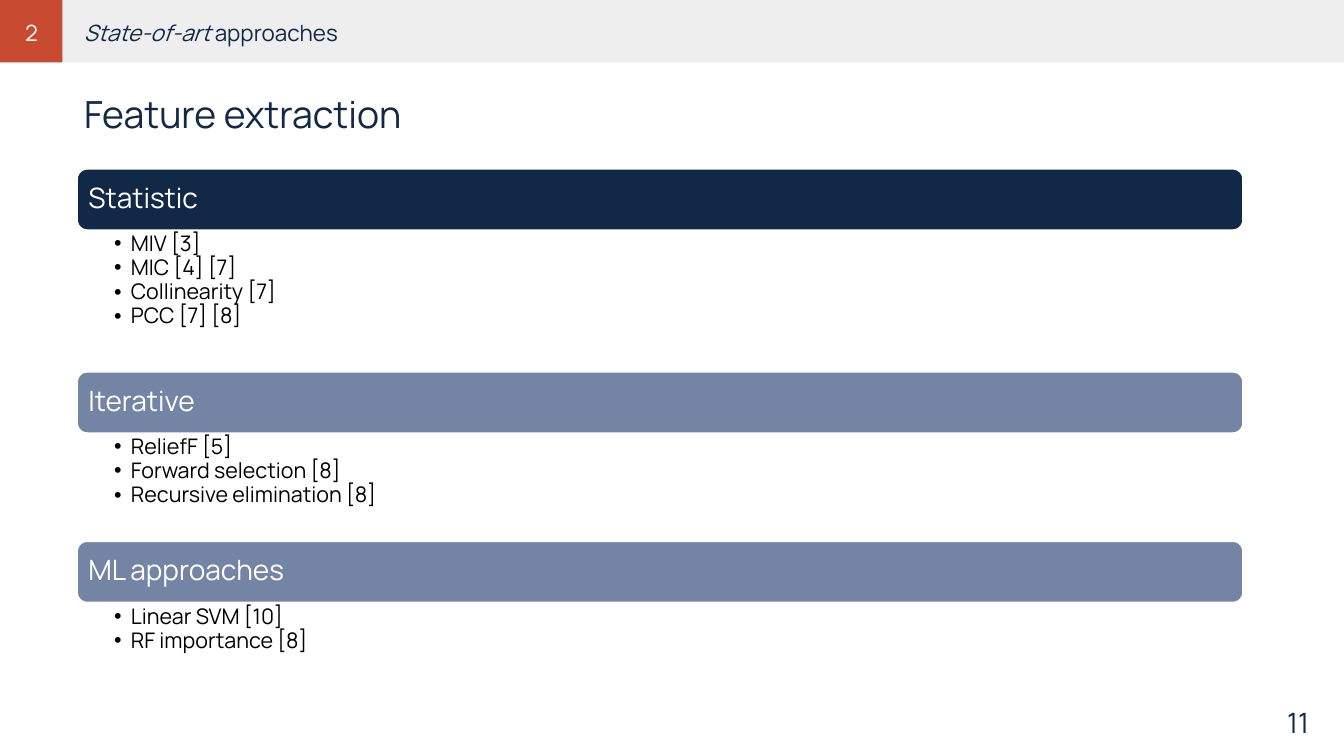
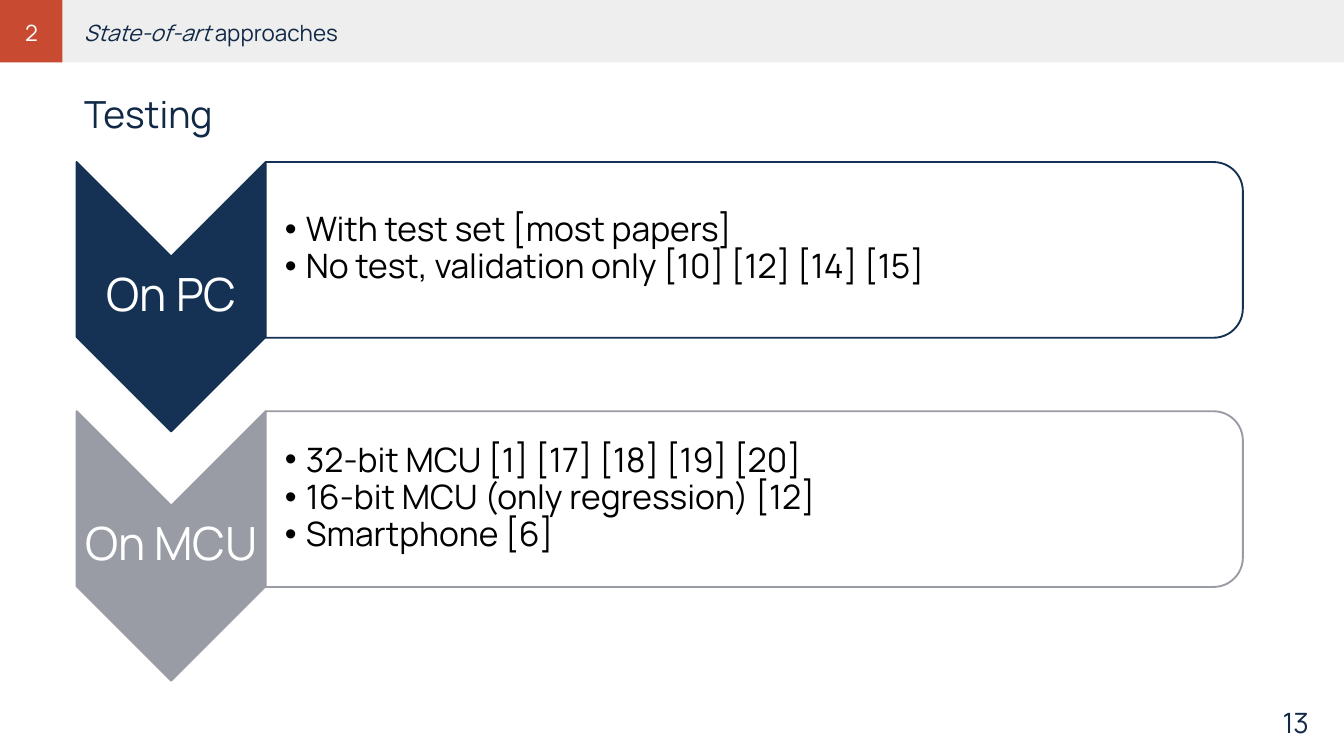
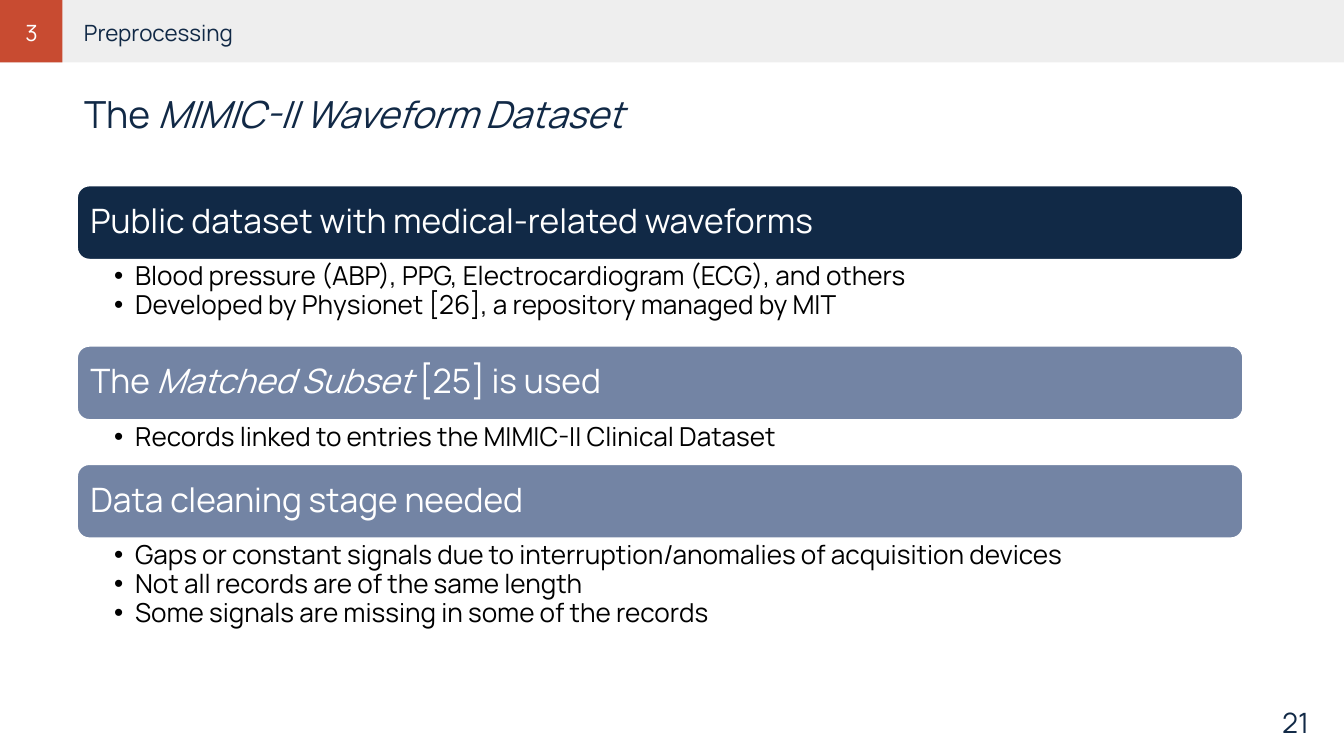
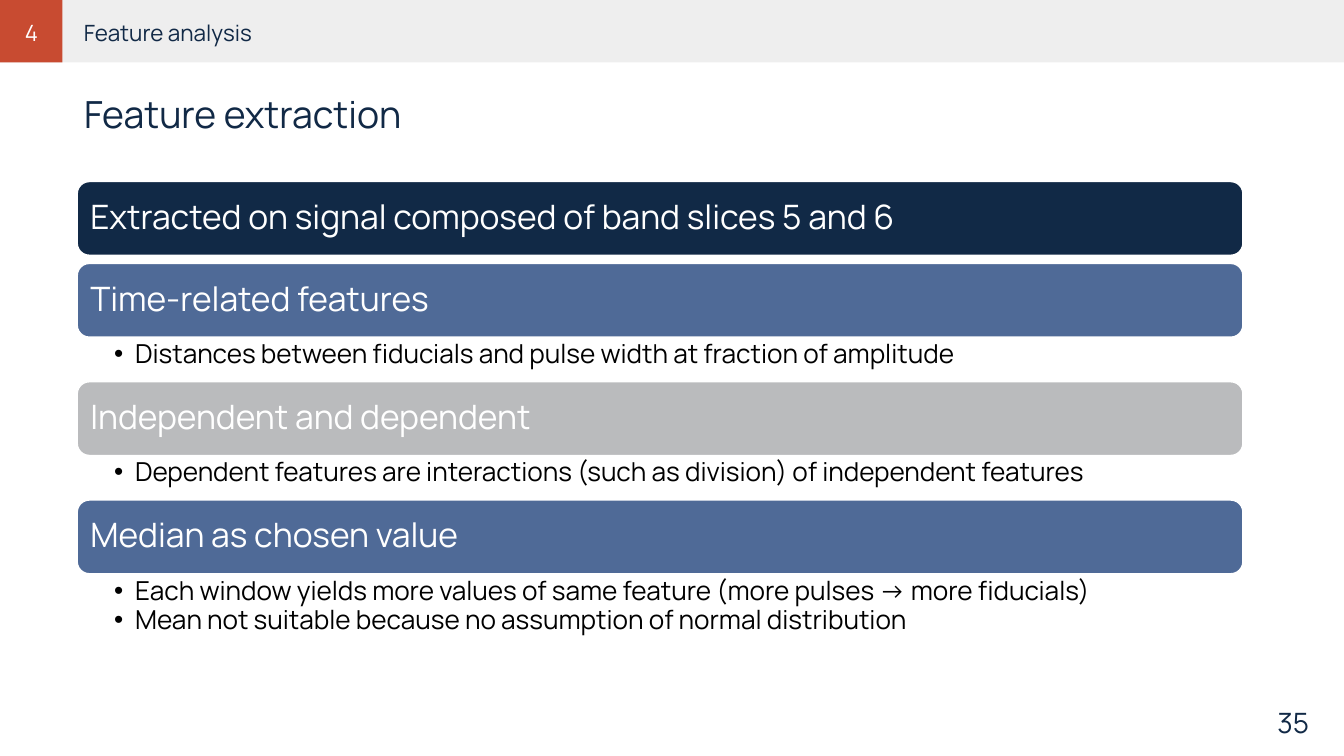
from dataclasses import dataclass

import lxml.etree
import pptx
import pptx.dml.color
import pptx.enum.shapes
import pptx.enum.text
import pptx.oxml.ns
import pptx.shapes.autoshape
import pptx.slide
import pptx.text.text
import pptx.util

RGB = pptx.dml.color.RGBColor
Kind = pptx.enum.shapes.MSO_SHAPE
Align = pptx.enum.text.PP_ALIGN
Anchor = pptx.enum.text.MSO_ANCHOR
qn = pptx.oxml.ns.qn

FONT = "Manrope"
NAVY = RGB(0x11, 0x29, 0x46)
DEEP = RGB(0x15, 0x32, 0x55)
BLUE = RGB(0x4F, 0x6A, 0x97)
SLATE = RGB(0x73, 0x84, 0xA4)
STEEL = RGB(0x99, 0x9C, 0xA5)
SILVER = RGB(0xBA, 0xBB, 0xBD)
PALE = RGB(0xEE, 0xEE, 0xEE)
RED = RGB(0xC8, 0x4B, 0x31)
WHITE = RGB(0xFF, 0xFF, 0xFF)
BLACK = RGB(0, 0, 0)

WIDTH, HEIGHT = 1920, 1080
BAND = 89
LEFT, SPAN = 110, 1666
CHEVRON, DROP = 270, 385
PANEL, STEP = 251, 356


@dataclass(frozen=True)
class Box:
    x: int
    y: int
    w: int
    h: int


@dataclass(frozen=True)
class Look:
    size: int
    color: RGB
    align: Align = Align.LEFT
    spacing: float = 1.0
    indent: int = 0


@dataclass(frozen=True)
class Scale:
    """Measures shared by the bars and lists of one slide."""
    bar: int
    pad: int
    head: int
    item: int
    indent: int
    edge: int
    right: int


@dataclass(frozen=True)
class Bar:
    head: str
    color: RGB
    room: int
    items: tuple[str, ...] = ()


@dataclass(frozen=True)
class Arrow:
    label: str
    color: RGB
    items: tuple[str, ...]


@dataclass(frozen=True)
class Page:
    number: str
    chapter: str
    section: str
    title: str
    top: int
    scale: Scale
    rows: tuple[Bar | Arrow, ...]


SMALL = Scale(bar=88, pad=12, head=30, item=23, indent=24, edge=4, right=22)
LARGE = Scale(bar=106, pad=14, head=36, item=28, indent=30, edge=5, right=27)

PAGES = (
    Page("11", "2", "*State-of-art* approaches", "Feature extraction", 241, SMALL, (
        Bar("Statistic", NAVY, 202,
            ("MIV [3]", "MIC [4] [7]", "Collinearity [7]", "PCC [7] [8]")),
        Bar("Iterative", SLATE, 154,
            ("ReliefF [5]", "Forward selection [8]", "Recursive elimination [8]")),
        Bar("ML approaches", SLATE, 101, ("Linear SVM [10]", "RF importance [8]")),
    )),
    Page("13", "2", "*State-of-art *approaches", "Testing", 231, LARGE, (
        Arrow("On PC", DEEP, (
            "With test set [most papers]",
            "No test, validation only [10] [12] [14] [15]")),
        Arrow("On MCU", STEEL, (
            "32-bit MCU [1] [17] [18] [19] [20]",
            "16-bit MCU (only regression) [12]",
            "Smartphone [6]")),
    )),
    Page("21", "3", "Preprocessing", "The *MIMIC-II Waveform Dataset*", 265, LARGE, (
        Bar("Public dataset with medical-related waveforms", NAVY, 123, (
            "Blood pressure (ABP), PPG, Electrocardiogram (ECG), and others",
            "Developed by Physionet [26], a repository managed by MIT")),
        Bar("The *Matched Subset *[25] is used", SLATE, 63,
            ("Records linked to entries the MIMIC-II Clinical Dataset",)),
        Bar("Data cleaning stage needed", SLATE, 184, (
            "Gaps or constant signals due to interruption/anomalies of acquisition devices",
            "Not all records are of the same length",
            "Some signals are missing in some of the records")),
    )),
    Page("35", "4", "Feature analysis", "Feature extraction", 259, LARGE, (
        Bar("Extracted on signal composed of band slices 5 and 6", NAVY, 11),
        Bar("Time-related features", BLUE, 63,
            ("Distances between fiducials and pulse width at fraction of amplitude",)),
        Bar("Independent and dependent", SILVER, 63, (
            "Dependent features are interactions (such as division) of independent features",)),
        Bar("Median as chosen value", BLUE, 123, (
            "Each window yields more values of same feature (more pulses → more fiducials)",
            "Mean not suitable because no assumption of normal distribution")),
    )),
)


def px(n: float) -> int:
    return pptx.util.Emu(round(n * 9525))


def place(shape, box: Box) -> None:
    shape.left, shape.top = px(box.x), px(box.y)
    shape.width, shape.height = px(box.w), px(box.h)


def setup(frame: pptx.text.text.TextFrame, anchor: Anchor,
          pads: tuple[int, int, int, int] = (10, 5, 10, 5)) -> None:
    """Pads run left, top, right, bottom."""
    frame.word_wrap = True
    frame.auto_size = pptx.enum.text.MSO_AUTO_SIZE.NONE
    frame.vertical_anchor = anchor
    frame.margin_left, frame.margin_top, frame.margin_right, frame.margin_bottom = map(px, pads)


def write(frame: pptx.text.text.TextFrame, lines: tuple[str, ...], look: Look) -> None:
    """Fill the frame; text between asterisks is italic."""
    for i, line in enumerate(lines):
        par = frame.add_paragraph() if i else frame.paragraphs[0]
        par.alignment = look.align
        par.line_spacing = look.spacing
        par.space_before = pptx.util.Pt(0)
        if look.indent:
            par.level = 1
            par.space_after = pptx.util.Pt(1)
            props = par._p.get_or_add_pPr()
            props.set("marL", str(px(look.indent)))
            props.set("indent", str(-px(look.indent)))
            lxml.etree.SubElement(props, qn("a:buFont"), typeface="Arial")
            lxml.etree.SubElement(props, qn("a:buChar"), char="•")
        par.font.name = FONT
        par.font.size = pptx.util.Pt(look.size)
        par.font.bold = False
        par.font.color.rgb = look.color
        for j, piece in enumerate(line.split("*")):
            if piece:
                run = par.add_run()
                run.text = piece
                if j % 2:
                    run.font.italic = True


def label(slide: pptx.slide.Slide, box: Box, text: str, look: Look,
          anchor: Anchor = Anchor.TOP,
          pads: tuple[int, int, int, int] = (10, 5, 10, 5)) -> None:
    shape = slide.shapes.add_textbox(0, 0, 0, 0)
    place(shape, box)
    setup(shape.text_frame, anchor, pads)
    write(shape.text_frame, (text,), look)


def solid(slide: pptx.slide.Slide, kind: Kind, box: Box, fill: RGB,
          line: RGB | None = None) -> pptx.shapes.autoshape.Shape:
    shape = slide.shapes.add_shape(kind, 0, 0, 0, 0)
    place(shape, box)
    shape.shadow.inherit = False
    shape.fill.solid()
    shape.fill.fore_color.rgb = fill
    if line is None:
        shape.line.fill.background()
    else:
        shape.line.color.rgb = line
        shape.line.width = pptx.util.Pt(2)
    return shape


def turned(slide: pptx.slide.Slide, kind: Kind, box: Box, fill: RGB,
           line: RGB) -> pptx.shapes.autoshape.Shape:
    """Draw a shape turned by 90 degrees so that it covers the box."""
    shift = (box.w - box.h) // 2
    flat = Box(box.x + shift, box.y - shift, box.h, box.w)
    shape = solid(slide, kind, flat, fill, line)
    shape.rotation = 90
    return shape


def bullets(holder, box: Box, items: tuple[str, ...], look: Look, anchor: Anchor,
            pads: tuple[int, int, int, int]) -> None:
    """Fill a body placeholder and bring it to the front."""
    place(holder, box)
    setup(holder.text_frame, anchor, pads)
    write(holder.text_frame, items, look)
    holder.element.getparent().append(holder.element)


def bars(slide: pptx.slide.Slide, page: Page, pool: list) -> None:
    s, y = page.scale, page.top
    for row in page.rows:
        bar = solid(slide, Kind.ROUNDED_RECTANGLE, Box(LEFT, y, SPAN, s.bar), row.color, WHITE)
        setup(bar.text_frame, Anchor.MIDDLE, (s.pad,) * 4)
        write(bar.text_frame, (row.head,), Look(s.head, WHITE, spacing=0.9))
        y += s.bar
        if row.items:
            bullets(pool.pop(0), Box(LEFT, y, SPAN, row.room), row.items,
                    Look(s.item, BLACK, spacing=0.9, indent=s.indent),
                    Anchor.TOP, (53, s.edge, s.right, s.edge))
        y += row.room


def arrows(slide: pptx.slide.Slide, page: Page, pool: list) -> None:
    x = LEFT + CHEVRON
    for i, row in enumerate(page.rows):
        y = page.top + i * STEP
        turned(slide, Kind.CHEVRON, Box(LEFT, y, CHEVRON, DROP), row.color, row.color)
        label(slide, Box(LEFT, y + 135, CHEVRON, 115), row.label,
              Look(49, WHITE, Align.CENTER, 0.9), Anchor.MIDDLE, (3, 3, 3, 3))
        panel = turned(slide, Kind.ROUND_2_SAME_RECTANGLE,
                       Box(x, y, LEFT + SPAN - x, PANEL), WHITE, row.color)
        tint = panel.element.find(".//" + qn("a:srgbClr"))
        lxml.etree.SubElement(tint, qn("a:alpha"), val="90000")
        bullets(pool.pop(0), Box(x, y + 12, 1383, 226), row.items,
                Look(36, BLACK, spacing=0.9, indent=page.scale.indent),
                Anchor.MIDDLE, (27, 3, 3, 3))


def bands(slide: pptx.slide.Slide) -> None:
    """Draw the header bands and move them to the layout."""
    for width, color in ((WIDTH, PALE), (BAND, RED)):
        band = solid(slide, Kind.RECTANGLE, Box(0, 0, width, BAND), color)
        slide.slide_layout.shapes.element.append(band.element)


def build(slide: pptx.slide.Slide, page: Page) -> None:
    label(slide, Box(1656, 1013, 224, 38), page.number,
          Look(30, NAVY, Align.RIGHT), Anchor.MIDDLE)
    label(slide, Box(LEFT, 22, SPAN, 43), page.section, Look(24, NAVY))
    label(slide, Box(11, 22, 68, 43), page.chapter, Look(24, WHITE, Align.CENTER))
    title = slide.shapes.title
    place(title, Box(LEFT, 125, SPAN, 70))
    setup(title.text_frame, Anchor.TOP)
    write(title.text_frame, (page.title,), Look(40, NAVY))
    pool = [p for p in slide.placeholders if p.placeholder_format.idx]
    draw = bars if isinstance(page.rows[0], Bar) else arrows
    draw(slide, page, pool)
    for spare in pool:
        spare.element.getparent().remove(spare.element)


def main() -> None:
    deck = pptx.Presentation()
    deck.slide_width, deck.slide_height = px(WIDTH), px(HEIGHT)
    layout = deck.slide_layouts.get_by_name("Comparison")
    for i, page in enumerate(PAGES):
        slide = deck.slides.add_slide(layout)
        if not i:
            bands(slide)
        build(slide, page)
    deck.save("out.pptx")


if __name__ == "__main__":
    main()
